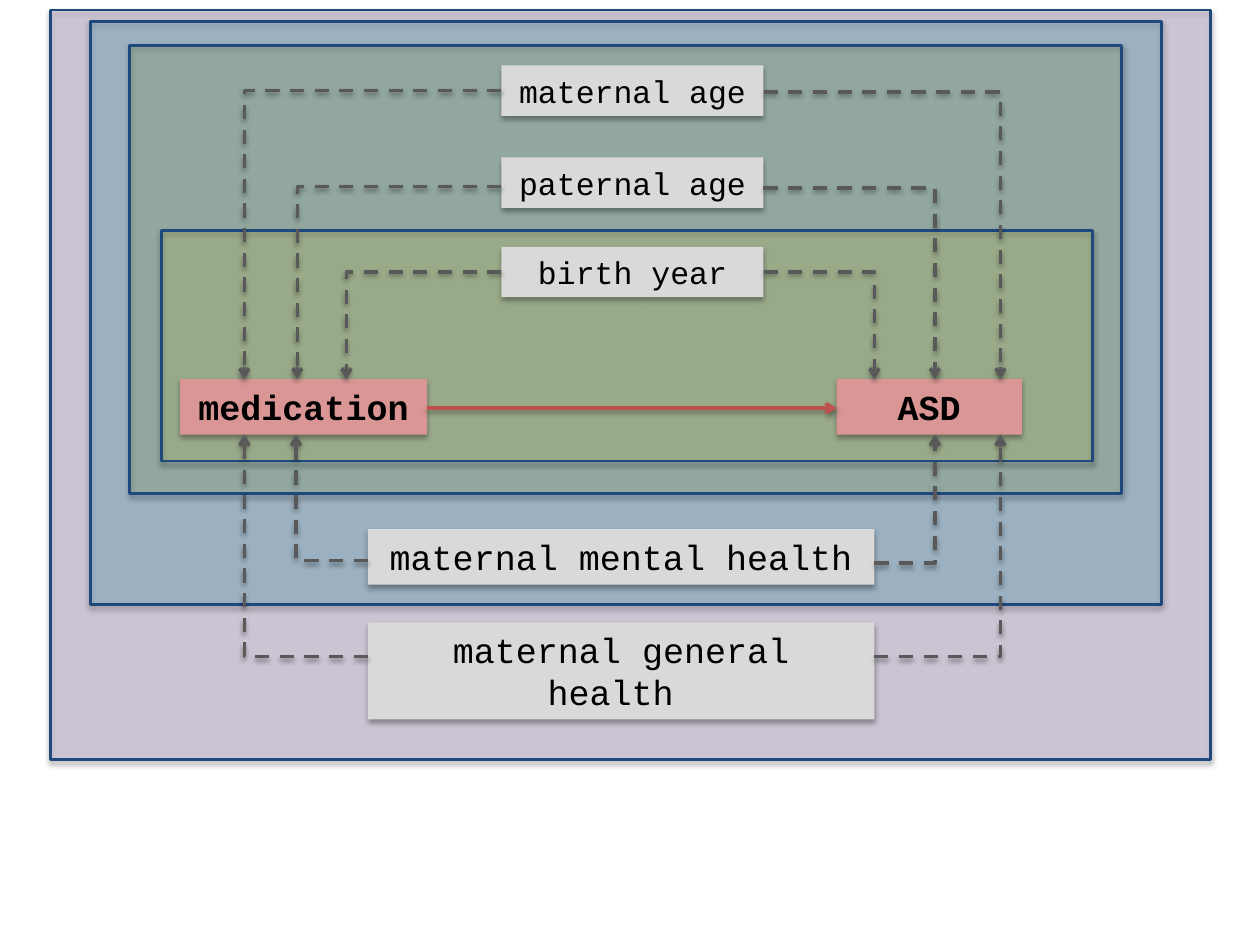
"""Builds a slide of nested adjustment sets around the medication to ASD path."""
from lxml import etree
from pptx import Presentation
from pptx.dml.color import RGBColor
from pptx.enum.dml import MSO_LINE_DASH_STYLE as Dash
from pptx.enum.shapes import MSO_CONNECTOR as Connector, MSO_SHAPE as Shape
from pptx.enum.text import MSO_ANCHOR as Anchor, MSO_AUTO_SIZE as AutoSize, PP_ALIGN as Align
from pptx.oxml.ns import qn
from pptx.util import Inches, Pt

FONT = "Courier New"
BLACK = RGBColor(0x00, 0x00, 0x00)
NAVY = RGBColor(0x1F, 0x49, 0x7D)
LILAC = RGBColor(0xB3, 0xA2, 0xC7)
AQUA = RGBColor(0x4B, 0xAC, 0xC6)
GREEN = RGBColor(0x9B, 0xBB, 0x59)
YELLOW = RGBColor(0xEB, 0xF0, 0x4E)
PINK = RGBColor(0xD9, 0x96, 0x94)
PALE_GRAY = RGBColor(0xD9, 0xD9, 0xD9)
DARK_GRAY = RGBColor(0x59, 0x59, 0x59)
RED = RGBColor(0xC0, 0x50, 0x4D)

LAYERS = [
    (0.4, 0.08, 9.21, 5.95, LILAC, 40),
    (0.72, 0.17, 8.5, 4.63, AQUA, 26),
    (1.03, 0.36, 7.87, 3.56, GREEN, 20),
    (1.28, 1.83, 7.39, 1.83, YELLOW, 17),
]
NODE_TOP, NODE_HEIGHT = 3.01, 0.44
NODES = [("medication", 1.43, 1.96), ("ASD", 6.64, 1.47)]
AGE_BOX = (3.98, 2.08, 18)
HEALTH_BOX = (2.92, 4.02, 20)
CONFOUNDERS = [
    ("maternal age", AGE_BOX, 0.52, 0.4, (0.72, 0.73), (1.94, 7.94)),
    ("paternal age", AGE_BOX, 1.25, 0.4, (1.48, 1.49), (2.36, 7.42)),
    ("birth year", AGE_BOX, 1.96, 0.4, (2.16, 2.16), (2.75, 6.94)),
    ("maternal mental health ", HEALTH_BOX, 4.2, 0.44, (4.45, 4.47), (2.35, 7.42)),
    ("maternal general health ", HEALTH_BOX, 4.94, 0.77, (5.21, 5.21), (1.94, 7.94)),
]


def add_shadow(properties, distance, opacity):
    """Put a soft downward shadow on a shape or connector."""
    effects = properties.find(qn("a:effectLst"))
    if effects is None:
        effects = etree.SubElement(properties, qn("a:effectLst"))
    shadow = etree.SubElement(effects, qn("a:outerShdw"), blurRad=str(Pt(3.1)),
                              dist=str(Pt(distance)), dir="5400000", rotWithShape="0")
    color = etree.SubElement(shadow, qn("a:srgbClr"), val=str(BLACK))
    etree.SubElement(color, qn("a:alpha"), val=str(opacity * 1000))


def add_rectangle(page, left, top, width, height, color):
    """Add a filled rectangle with a shadow and no outline."""
    box = page.shapes.add_shape(Shape.RECTANGLE, *map(Inches, (left, top, width, height)))
    box.fill.solid()
    box.fill.fore_color.rgb = color
    box.line.fill.background()
    box.shadow.inherit = False
    add_shadow(box._element.spPr, 1.8, 35)
    return box


def add_layer(page, left, top, width, height, color, opacity):
    """Add a translucent, outlined adjustment layer."""
    box = add_rectangle(page, left, top, width, height, color)
    box.line.color.rgb = NAVY
    box.line.width = Pt(1.5)
    fill_color = box._element.spPr.find(qn("a:solidFill"))[0]
    etree.SubElement(fill_color, qn("a:alpha"), val=str(opacity * 1000))


def add_label(page, text, left, top, width, height, color, size, bold=False):
    """Add a filled box with centred text."""
    box = add_rectangle(page, left, top, width, height, color)
    frame = box.text_frame
    frame.word_wrap = True
    frame.auto_size = AutoSize.SHAPE_TO_FIT_TEXT
    frame.vertical_anchor = Anchor.TOP
    para = frame.paragraphs[0]
    para.text = text
    para.alignment = Align.CENTER
    para.font.name = FONT
    para.font.size = Pt(size)
    para.font.bold = bold
    para.font.color.rgb = BLACK


def add_arrow(page, kind, start, end, color):
    """Add an arrow from start to end."""
    arrow = page.shapes.add_connector(kind, *map(Inches, (*start, *end)))
    arrow.line.color.rgb = color
    arrow.line.width = Pt(2)
    if kind == Connector.ELBOW:
        arrow.line.dash_style = Dash.DASH
        guides = arrow._element.spPr.find(qn("a:prstGeom")).find(qn("a:avLst"))
        etree.SubElement(guides, qn("a:gd"), name="adj1", fmla="val 100000")
    etree.SubElement(arrow.line._get_or_add_ln(), qn("a:tailEnd"), type="arrow")
    add_shadow(arrow._element.spPr, 1.6, 38)


def add_confounder(page, text, column, top, height, exits, targets):
    """Add a confounder with dashed arrows to both nodes."""
    left, width, size = column
    add_label(page, text, left, top, width, height, PALE_GRAY, size)
    end_y = NODE_TOP if top < NODE_TOP else NODE_TOP + NODE_HEIGHT
    for side, exit_y, target in zip((left, left + width), exits, targets):
        add_arrow(page, Connector.ELBOW, (side, exit_y), (target, end_y), DARK_GRAY)


def main():
    """Build and save the slide."""
    deck = Presentation()
    deck.slide_width, deck.slide_height = Inches(10), Inches(7.5)
    page = deck.slides.add_slide(deck.slide_layouts[6])
    for layer in LAYERS:
        add_layer(page, *layer)
    for text, left, width in NODES:
        add_label(page, text, left, NODE_TOP, width, NODE_HEIGHT, PINK, 20, bold=True)
    add_arrow(page, Connector.STRAIGHT, (3.39, 3.24), (6.64, 3.24), RED)
    for confounder in CONFOUNDERS:
        add_confounder(page, *confounder)
    deck.save("out.pptx")


main()
